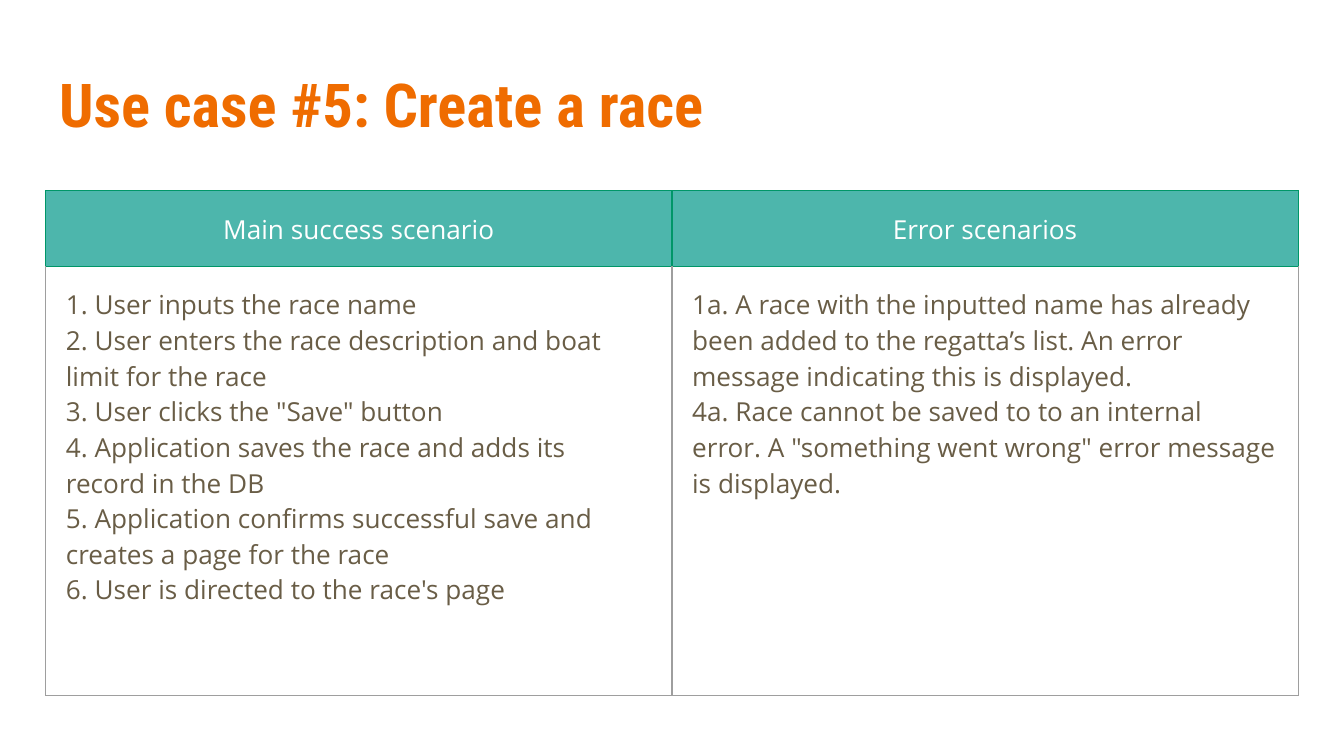
from lxml import etree
from pptx import Presentation
from pptx.dml.color import RGBColor
from pptx.enum.text import MSO_ANCHOR, MSO_AUTO_SIZE, PP_ALIGN
from pptx.oxml.ns import qn
from pptx.util import Inches, Pt

TOP = MSO_ANCHOR.TOP
NO_FIT = MSO_AUTO_SIZE.NONE
LEFT, CENTER = PP_ALIGN.LEFT, PP_ALIGN.CENTER
TITLE_ONLY = 5

COLORS = {
    "title": "EF6C00",
    "header": "4DB6AC",
    "header_text": "FFFFFF",
    "header_border": "009668",
    "body_text": "695D46",
    "body_border": "9E9E9E",
}

SCENARIOS = {
    "Main success scenario": [
        "1. User inputs the race name",
        "2. User enters the race description and boat limit for the race",
        '3. User clicks the "Save" button',
        "4. Application saves the race and adds its record in the DB",
        "5. Application confirms successful save and creates a page for the race",
        "6. User is directed to the race's page",
    ],
    "Error scenarios": [
        "1a. A race with the inputted name has already been added to the "
        "regatta’s list. An error message indicating this is displayed.",
        "4a. Race cannot be saved to to an internal error. "
        'A "something went wrong" error message is displayed.',
    ],
}


class UseCaseSlide:
    title_font = "Roboto Condensed"
    body_font = "Open Sans"
    margin = 0.34
    content_width = 9.32

    def __init__(self, presentation):
        layout = presentation.slide_layouts[TITLE_ONLY]
        self.slide = presentation.slides.add_slide(layout)

    def style(self, paragraph, font, size, color, align, bold=False):
        paragraph.alignment = align
        for run in paragraph.runs:
            run.font.name = font
            run.font.size = Pt(size)
            run.font.bold = bold
            run.font.color.rgb = RGBColor.from_string(COLORS[color])

    def pad(self, target, inset):
        target.margin_left = target.margin_right = Inches(inset)
        target.margin_top = target.margin_bottom = Inches(inset)

    def title(self, text):
        heading = self.slide.shapes.title
        heading.left, heading.top = Inches(self.margin), Inches(0.4)
        heading.width, heading.height = Inches(self.content_width), Inches(0.77)
        frame = heading.text_frame
        frame.text = text
        frame.word_wrap = True
        frame.auto_size = NO_FIT
        frame.vertical_anchor = TOP
        self.pad(frame, 0.1)
        self.style(frame.paragraphs[0], self.title_font, 32.4, "title", LEFT, True)

    def borders(self, cell, color, top_color):
        properties = cell._tc.get_or_add_tcPr()
        for side in "LRTB":
            line = etree.SubElement(properties, qn(f"a:ln{side}"), w=str(Pt(0.75)))
            fill = etree.SubElement(line, qn("a:solidFill"))
            side_color = top_color if side == "T" else color
            etree.SubElement(fill, qn("a:srgbClr"), val=COLORS[side_color])

    def cell(self, cell, lines, role, align):
        cell.text = "\n".join(lines)
        cell.vertical_anchor = TOP
        self.pad(cell, 0.15)
        for paragraph in cell.text_frame.paragraphs:
            self.style(paragraph, self.body_font, 14, f"{role}_text", align)
        self.borders(cell, f"{role}_border", "header_border")
        if role == "header":
            cell.fill.solid()
            cell.fill.fore_color.rgb = RGBColor.from_string(COLORS[role])
        else:
            cell.fill.background()

    def table(self, columns, row_heights):
        table = self.slide.shapes.add_table(
            len(row_heights), len(columns), Inches(self.margin), Inches(1.42),
            Inches(self.content_width), Inches(sum(row_heights)),
        ).table
        table.horz_banding = False
        for row, height in zip(table.rows, row_heights):
            row.height = Inches(height)
        for index, (header, steps) in enumerate(columns.items()):
            table.columns[index].width = Inches(self.content_width / len(columns))
            self.cell(table.cell(0, index), [header], "header", CENTER)
            self.cell(table.cell(1, index), steps, "body", LEFT)


def main():
    presentation = Presentation()
    presentation.slide_width = Inches(10)
    presentation.slide_height = Inches(10 * 9 / 16)
    use_case = UseCaseSlide(presentation)
    use_case.title("Use case #5: Create a race")
    use_case.table(SCENARIOS, [0.4, 3.19])
    presentation.save("out.pptx")


if __name__ == "__main__":
    main()
